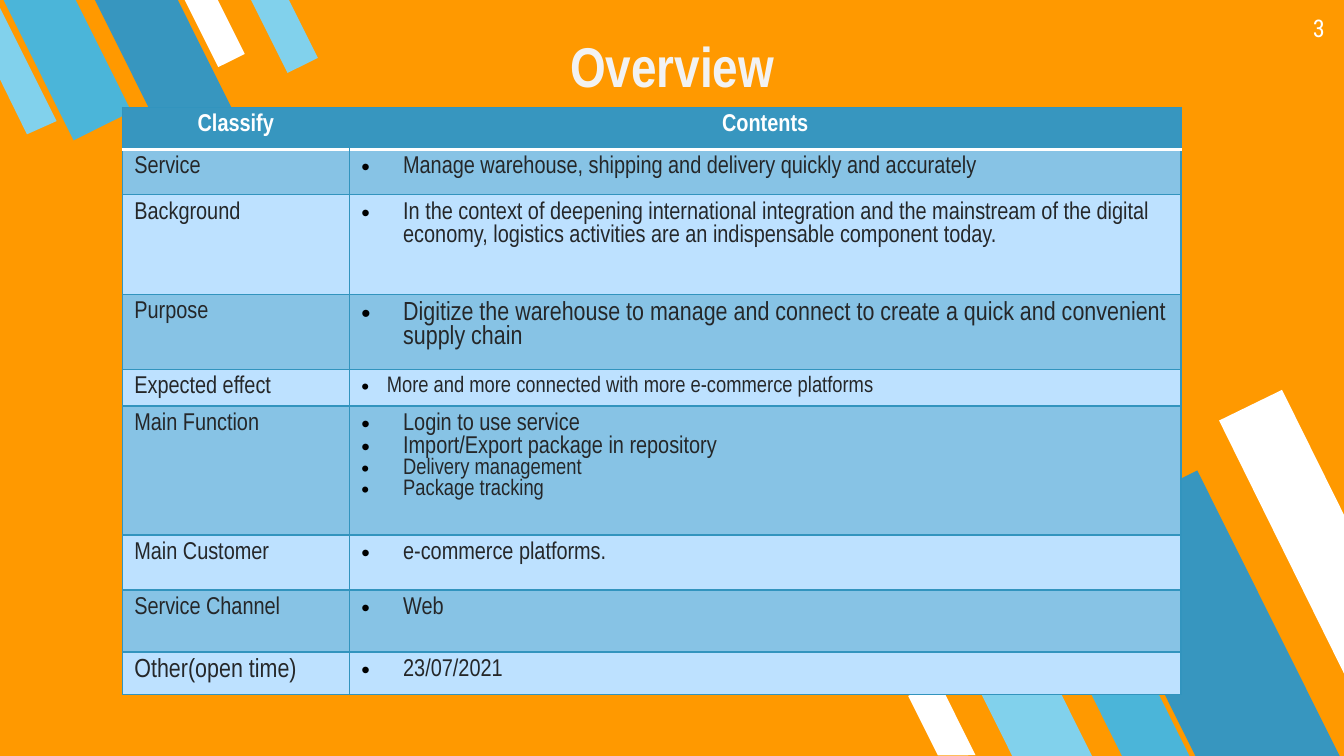
from lxml import etree
from pptx import Presentation
from pptx.dml.color import RGBColor
from pptx.enum.shapes import MSO_SHAPE
from pptx.enum.text import MSO_ANCHOR, MSO_AUTO_SIZE, PP_ALIGN
from pptx.oxml.ns import qn
from pptx.util import Cm, Pt

STRIPE = MSO_SHAPE.FLOWCHART_MANUAL_INPUT
BOTTOM = MSO_ANCHOR.BOTTOM
TOP = MSO_ANCHOR.TOP
NO_FIT = MSO_AUTO_SIZE.NONE
LEFT, CENTER, RIGHT = PP_ALIGN.LEFT, PP_ALIGN.CENTER, PP_ALIGN.RIGHT

ORANGE = RGBColor(0xFF, 0x99, 0x00)
WHITE = RGBColor(0xFF, 0xFF, 0xFF)
OFF_WHITE = RGBColor(0xF2, 0xF2, 0xF2)
BLACK = RGBColor(0x00, 0x00, 0x00)
INK = RGBColor(0x25, 0x27, 0x29)
SKY = RGBColor(0x81, 0xD1, 0xEC)
AZURE = RGBColor(0x4B, 0xB5, 0xD9)
STEEL = RGBColor(0x37, 0x96, 0xBF)
GRID = RGBColor(0x32, 0x94, 0xBE)
BAND_DARK = RGBColor(0x87, 0xC3, 0xE5)
BAND_LIGHT = RGBColor(0xBD, 0xE1, 0xFF)

LOWER_STRIPES = [
    (18.62, 11.43, 1.35, 3.35, SKY),
    (21.67, 9.12, 2.44, 6.07, STEEL),
    (20.78, 11.89, 1.14, 2.82, AZURE),
    (17.48, 12.93, 0.64, 1.57, WHITE),
]
UPPER_STRIPES = [
    (3.78, -0.2, 0.56, 1.42, WHITE),
    (0.66, -0.46, 1.22, 3.0, AZURE),
    (2.49, -0.51, 1.4, 3.48, STEEL),
    (5.05, -0.25, 0.64, 1.57, SKY),
]
RIGHT_EDGE = [(24.23, 7.37), (23.04, 7.95), (25.4, 12.73), (25.4, 9.73)]
LEFT_EDGE = [(0.51, 2.54), (1.07, 2.29), (0, 0.15), (0, 1.5)]

COLUMN_WIDTHS = [4.29, 15.72]
HEADINGS = ["Classify", "Contents"]
HEADING_HEIGHT = 0.79
WIDE, NARROW = 0.79, 0.48
OVERVIEW = [
    (0.86, "Service", 13, WIDE,
     [("Manage warehouse, shipping and delivery quickly and accurately", 13)]),
    (1.88, "Background", 13, WIDE,
     [("In the context of deepening international integration and the "
       "mainstream of the digital economy, logistics activities are an "
       "indispensable component today.", 13)]),
    (1.42, "Purpose", 13, WIDE,
     [("Digitize the warehouse to manage and connect to create a quick and "
       "convenient supply chain", 14)]),
    (0.66, "Expected effect", 13, NARROW,
     [("More and more connected with more e-commerce platforms", 12)]),
    (2.44, "Main Function", 13, WIDE,
     [("Login to use service", 13), ("Import/Export package in repository", 13),
      ("Delivery management", 12), ("Package tracking", 12)]),
    (1.04, "Main Customer", 13, WIDE, [("e-commerce platforms.", 13)]),
    (1.17, "Service Channel", 13, WIDE, [("Web", 13)]),
    (0.81, "Other(open time)", 14, WIDE, [("23/07/2021", 13)]),
]


class SlideBuilder:
    font = "Arial Narrow"
    number_font = "Roboto Condensed"

    def __init__(self, slide):
        self.slide = slide
        slide.background.fill.solid()
        slide.background.fill.fore_color.rgb = ORANGE

    def paint(self, shape, color):
        shape.shadow.inherit = False
        shape.fill.solid()
        shape.fill.fore_color.rgb = color
        shape.line.fill.background()

    def stripe(self, left, top, width, height, color, rotation):
        stripe = self.slide.shapes.add_shape(
            STRIPE, Cm(left), Cm(top), Cm(width), Cm(height))
        stripe.rotation = rotation
        stripe._element.spPr.find(qn("a:xfrm")).set("flipH", "1")
        self.paint(stripe, color)

    def outline(self, corners, color):
        points = [(Cm(x), Cm(y)) for x, y in corners]
        builder = self.slide.shapes.build_freeform(*points[0])
        builder.add_line_segments(points[1:], close=True)
        self.paint(builder.convert_to_shape(), color)

    def add_text(self, paragraph, text, size, color, align=LEFT, bold=False, font=None):
        paragraph.alignment = align
        run = paragraph.add_run()
        run.text = text
        run.font.name = font or self.font
        run.font.size = Pt(size)
        run.font.bold = bold
        run.font.color.rgb = color

    def frame(self, shape, anchor):
        frame = shape.text_frame
        frame.word_wrap = True
        frame.auto_size = NO_FIT
        frame.vertical_anchor = anchor
        frame.margin_left = frame.margin_right = Cm(0.25)
        frame.margin_top = frame.margin_bottom = Cm(0.25)
        return frame.paragraphs[0]

    def title(self, text):
        heading = self.slide.shapes.title
        heading.left, heading.top = Cm(9.91), Cm(-1.78)
        heading.width, heading.height = Cm(5.59), Cm(3.89)
        self.add_text(self.frame(heading, BOTTOM), text, 30, OFF_WHITE, CENTER, True)

    def page_number(self, text):
        corner = self.slide.shapes.add_textbox(Cm(23.77), Cm(0), Cm(1.52), Cm(1.09))
        self.add_text(self.frame(corner, TOP), text, 13, WHITE, RIGHT,
                      font=self.number_font)

    def bullet(self, paragraph, indent):
        properties = paragraph._p.get_or_add_pPr()
        properties.set("marL", str(Cm(indent)))
        properties.set("indent", str(-Cm(indent)))
        color = etree.SubElement(properties, qn("a:buClr"))
        etree.SubElement(color, qn("a:srgbClr"), val=str(BLACK))
        etree.SubElement(properties, qn("a:buFont"), typeface="Arial")
        etree.SubElement(properties, qn("a:buChar"), char="•")

    def cell(self, cell, fill, borders):
        cell.margin_left = cell.margin_right = Cm(0.23)
        cell.margin_top = cell.margin_bottom = Cm(0.13)
        properties = cell._tc.get_or_add_tcPr()
        for side in "LRTB":
            color, width = borders.get(side, (GRID, 0.75))
            line = etree.SubElement(properties, qn(f"a:ln{side}"), w=str(Pt(width)))
            if color is None:
                etree.SubElement(line, qn("a:noFill"))
            else:
                solid = etree.SubElement(line, qn("a:solidFill"))
                etree.SubElement(solid, qn("a:srgbClr"), val=str(color))
        cell.fill.solid()
        cell.fill.fore_color.rgb = fill
        return cell.text_frame

    def table(self, left, top):
        heights = [HEADING_HEIGHT] + [entry[0] for entry in OVERVIEW]
        table = self.slide.shapes.add_table(
            len(heights), len(COLUMN_WIDTHS), Cm(left), Cm(top),
            Cm(sum(COLUMN_WIDTHS)), Cm(sum(heights))).table
        table.first_row = table.horz_banding = False
        for column, width in zip(table.columns, COLUMN_WIDTHS):
            column.width = Cm(width)
        for row, height in zip(table.rows, heights):
            row.height = Cm(height)

        rule = (WHITE, 2)
        for index, (heading, inner) in enumerate(zip(HEADINGS, "RL")):
            frame = self.cell(table.cell(0, index), STEEL,
                              {"B": rule, inner: (None, 0.75)})
            self.add_text(frame.paragraphs[0], heading, 13, WHITE, CENTER, True)

        for number, (_, label, size, indent, points) in enumerate(OVERVIEW, 1):
            band = BAND_DARK if number % 2 else BAND_LIGHT
            borders = {"T": rule} if number == 1 else {}
            frame = self.cell(table.cell(number, 0), band, borders)
            self.add_text(frame.paragraphs[0], label, size, INK)
            frame = self.cell(table.cell(number, 1), band, borders)
            for position, (point, point_size) in enumerate(points):
                paragraph = frame.add_paragraph() if position else frame.paragraphs[0]
                self.bullet(paragraph, indent)
                self.add_text(paragraph, point, point_size, INK)


def main():
    deck = Presentation()
    deck.slide_width, deck.slide_height = Cm(25.4), Cm(14.29)
    builder = SlideBuilder(deck.slides.add_slide(deck.slide_layouts[5]))
    for stripes, rotation in ((LOWER_STRIPES, 153.5), (UPPER_STRIPES, 333.5)):
        for stripe in stripes:
            builder.stripe(*stripe, rotation)
    builder.outline(RIGHT_EDGE, WHITE)
    builder.outline(LEFT_EDGE, SKY)
    builder.title("Overview")
    builder.page_number("3")
    builder.table(2.31, 2.03)
    deck.save("out.pptx")


if __name__ == "__main__":
    main()
